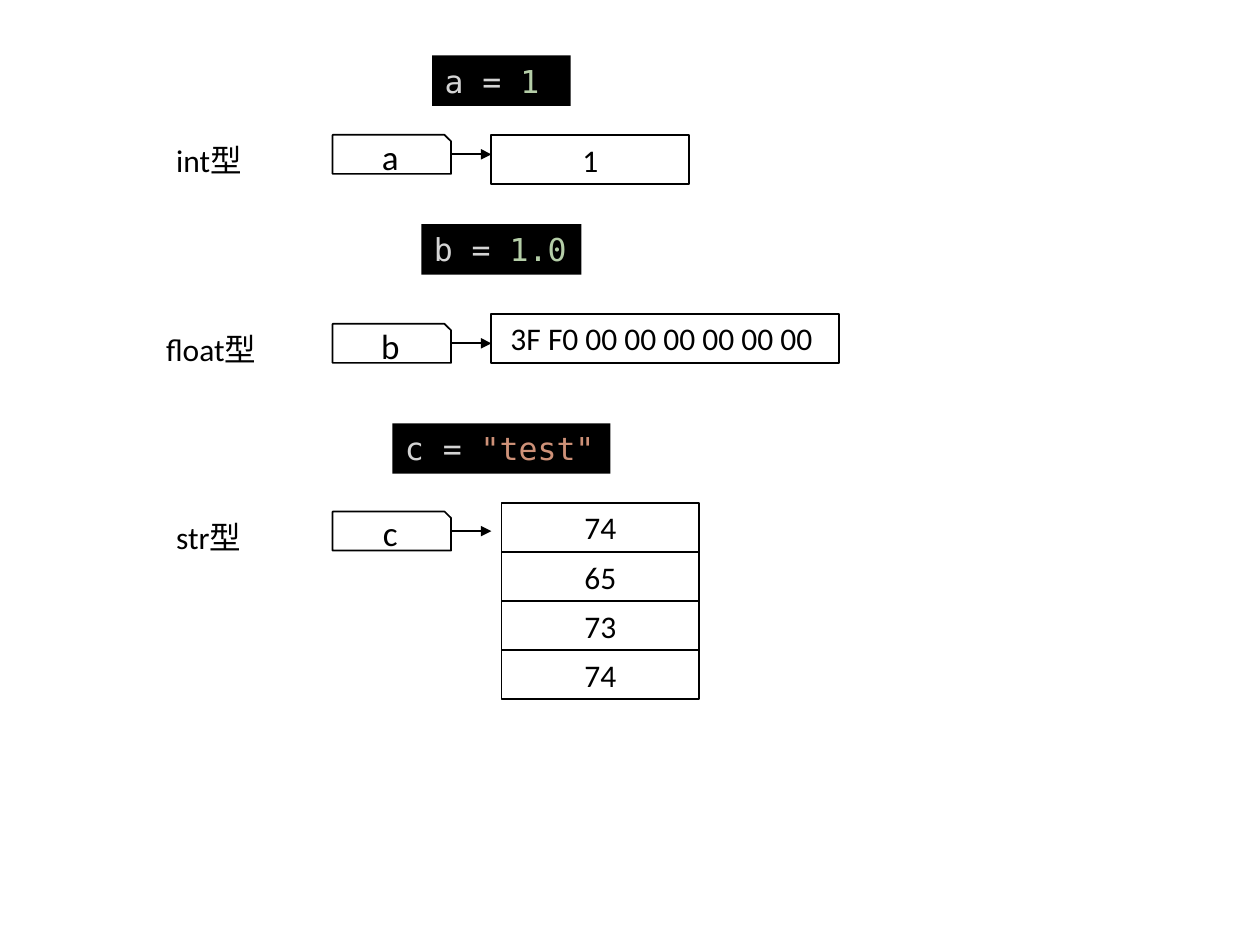
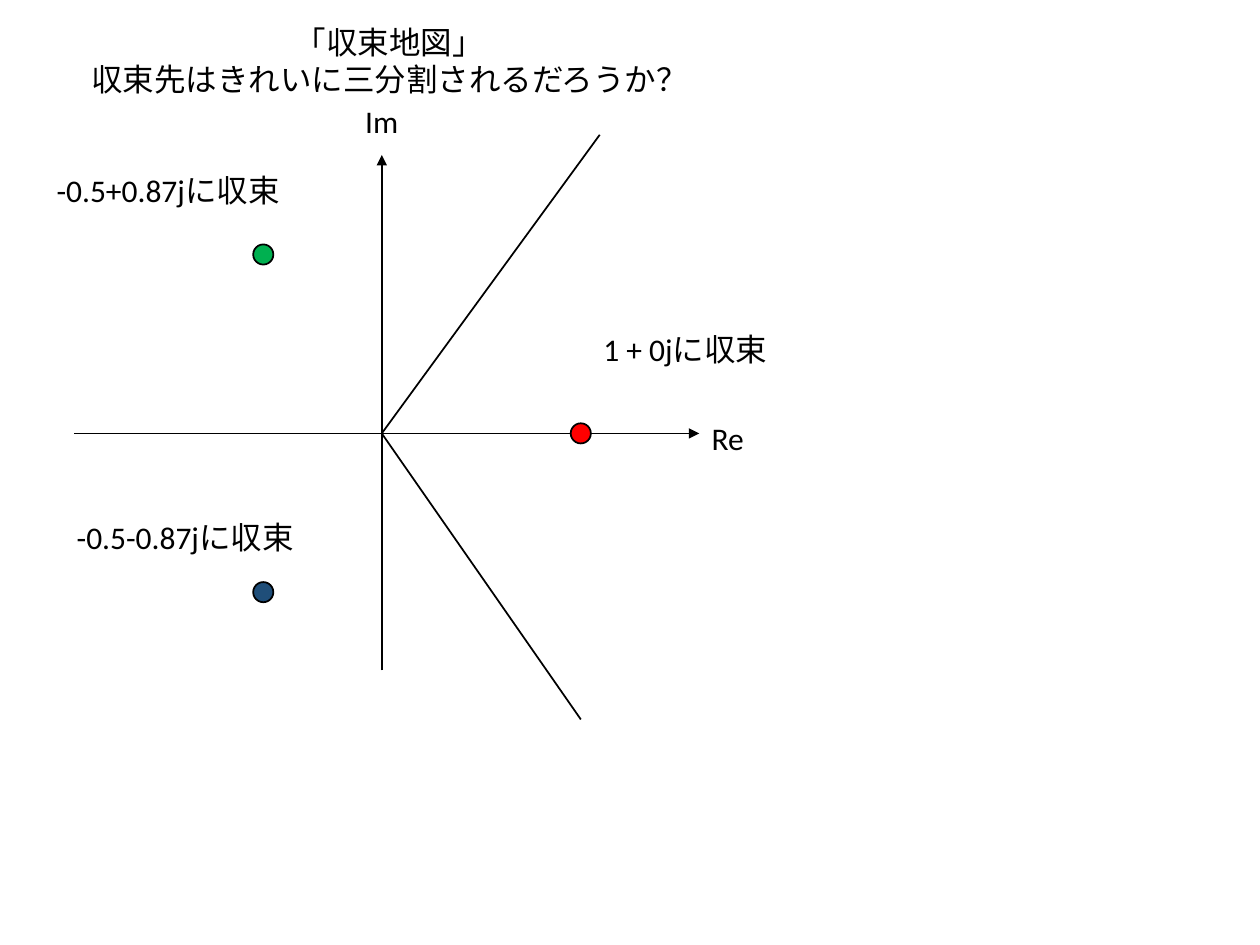
from dataclasses import dataclass

from lxml import etree
from pptx import Presentation
from pptx.dml.color import RGBColor
from pptx.enum.shapes import MSO_CONNECTOR, MSO_SHAPE
from pptx.enum.text import MSO_ANCHOR, MSO_AUTO_SIZE, PP_ALIGN
from pptx.oxml.ns import qn
from pptx.shapes.autoshape import Shape
from pptx.slide import Slide
from pptx.util import Inches, Pt

RECTANGLE = MSO_SHAPE.RECTANGLE
NAME_TAG = MSO_SHAPE.SNIP_1_RECTANGLE
OVAL = MSO_SHAPE.OVAL
STRAIGHT = MSO_CONNECTOR.STRAIGHT
LEFT, CENTER = PP_ALIGN.LEFT, PP_ALIGN.CENTER
TOP, MIDDLE = MSO_ANCHOR.TOP, MSO_ANCHOR.MIDDLE
GROW, FIXED = MSO_AUTO_SIZE.SHAPE_TO_FIT_TEXT, MSO_AUTO_SIZE.NONE

BLACK = RGBColor(0x00, 0x00, 0x00)
CODE_TEXT = RGBColor(0xD4, 0xD4, 0xD4)
CODE_NUMBER = RGBColor(0xB5, 0xCE, 0xA8)
CODE_STRING = RGBColor(0xCE, 0x91, 0x78)
RED = RGBColor(0xFF, 0x00, 0x00)
GREEN = RGBColor(0x00, 0xB0, 0x50)
BLUE = RGBColor(0x1F, 0x4E, 0x79)

BODY_FONT = "Calibri"
CODE_FONT = "DejaVu Sans Mono"
LINE_WIDTH = Pt(1)
LABEL_HEIGHT = 0.4

CODE_CENTER = 3.98
TAG_LEFT, TAG_WIDTH, TAG_HEIGHT = 2.64, 0.94, 0.31
ARROW_END = 3.9
CELL_HEIGHT = 0.39

ORIGIN = (3.03, 3.44)
DOT_SIZE = 0.16

Point = tuple[float, float]
Box = tuple[float, float, float, float]
Run = tuple[str, RGBColor]


@dataclass(frozen=True)
class Variable:
    name: str
    literal: str
    literal_color: RGBColor
    code_top: float
    code_width: float
    tag_top: float
    type_label: str
    label_left: float
    label_width: float
    cells: tuple[str, ...]
    cells_at: Point
    cell_width: float


@dataclass(frozen=True)
class Root:
    text: str
    label_at: Point
    label_width: float
    center: Point
    color: RGBColor


VARIABLES = (
    Variable("a", "1", CODE_NUMBER, 0.44, 1.1, 1.07, "int型", 1.3, 0.73,
             ("1",), (3.9, 1.07), 1.57),
    Variable("b", "1.0", CODE_NUMBER, 1.78, 1.27, 2.57, "float型", 1.22, 0.93,
             ("3F F0 00 00 00 00 00 00 ",), (3.9, 2.49), 2.76),
    Variable("c", '"test"', CODE_STRING, 3.36, 1.73, 4.06, "str型", 1.3, 0.72,
             ("74", "65", "73", "74"), (3.98, 3.99), 1.57),
)

ROOTS = (
    Root("1 + 0jに収束", (4.69, 2.57), 1.52, (4.61, 3.44), RED),
    Root("-0.5+0.87jに収束", (0.35, 1.31), 1.99, (2.09, 2.02), GREEN),
    Root("-0.5-0.87jに収束", (0.51, 4.06), 1.99, (2.09, 4.7), BLUE),
)


def write_text(shape: Shape, paragraphs: list[list[Run]], *, size: int = 18,
               font: str = BODY_FONT, align: PP_ALIGN = LEFT,
               anchor: MSO_ANCHOR = TOP, fit: MSO_AUTO_SIZE = GROW) -> None:
    frame = shape.text_frame
    frame.word_wrap = True
    frame.auto_size = fit
    frame.vertical_anchor = anchor
    for index, runs in enumerate(paragraphs):
        paragraph = frame.add_paragraph() if index else frame.paragraphs[0]
        paragraph.alignment = align
        for text, color in runs:
            run = paragraph.add_run()
            run.text = text
            run.font.size = Pt(size)
            run.font.name = font
            run.font.color.rgb = color


def add_label(slide: Slide, box: Box, *lines: str, align: PP_ALIGN = LEFT) -> None:
    label = slide.shapes.add_textbox(*map(Inches, box))
    write_text(label, [[(line, BLACK)] for line in lines], align=align)


def add_figure(slide: Slide, kind: MSO_SHAPE, box: Box, *,
               fill: RGBColor | None = None, outlined: bool = True) -> Shape:
    shape = slide.shapes.add_shape(kind, *map(Inches, box))
    shape.shadow.inherit = False
    if fill is None:
        shape.fill.background()
    else:
        shape.fill.solid()
        shape.fill.fore_color.rgb = fill
    if outlined:
        shape.line.color.rgb = BLACK
        shape.line.width = LINE_WIDTH
    else:
        shape.line.fill.background()
    return shape


def add_outlined_text(slide: Slide, kind: MSO_SHAPE, box: Box, text: str,
                      size: int = 18) -> None:
    shape = add_figure(slide, kind, box)
    write_text(shape, [[(text, BLACK)]], size=size, align=CENTER,
               anchor=MIDDLE, fit=FIXED)


def add_line(slide: Slide, start: Point, end: Point, *, arrow: bool = False) -> None:
    connector = slide.shapes.add_connector(STRAIGHT, *map(Inches, start + end))
    connector.line.color.rgb = BLACK
    connector.line.width = LINE_WIDTH
    properties = connector._element.spPr
    if arrow:
        etree.SubElement(properties.find(qn("a:ln")), qn("a:tailEnd"), type="triangle")
    etree.SubElement(properties, qn("a:effectLst"))


def draw_variable(slide: Slide, variable: Variable) -> None:
    code_left = CODE_CENTER - variable.code_width / 2
    code = add_figure(slide, RECTANGLE,
                      (code_left, variable.code_top, variable.code_width, LABEL_HEIGHT),
                      fill=BLACK, outlined=False)
    write_text(code, [[(f"{variable.name} = ", CODE_TEXT),
                       (variable.literal, variable.literal_color)]], font=CODE_FONT)

    add_label(slide, (variable.label_left, variable.tag_top,
                      variable.label_width, LABEL_HEIGHT), variable.type_label)
    add_outlined_text(slide, NAME_TAG,
                      (TAG_LEFT, variable.tag_top, TAG_WIDTH, TAG_HEIGHT),
                      variable.name, size=20)
    arrow_y = variable.tag_top + TAG_HEIGHT / 2
    add_line(slide, (TAG_LEFT + TAG_WIDTH, arrow_y), (ARROW_END, arrow_y), arrow=True)

    left, top = variable.cells_at
    for index, value in enumerate(variable.cells):
        add_outlined_text(slide, RECTANGLE,
                          (left, top + index * CELL_HEIGHT,
                           variable.cell_width, CELL_HEIGHT), value)


def draw_root(slide: Slide, root: Root) -> None:
    x, y = root.center
    add_figure(slide, OVAL, (x - DOT_SIZE / 2, y - DOT_SIZE / 2, DOT_SIZE, DOT_SIZE),
               fill=root.color)
    add_label(slide, (*root.label_at, root.label_width, LABEL_HEIGHT), root.text)


def build_variable_slide(slide: Slide) -> None:
    for variable in VARIABLES:
        draw_variable(slide, variable)


def build_convergence_slide(slide: Slide) -> None:
    origin_x, origin_y = ORIGIN
    add_line(slide, (0.59, origin_y), (5.55, origin_y), arrow=True)
    add_line(slide, (origin_x, 5.32), (origin_x, 1.23), arrow=True)
    add_label(slide, (5.55, 3.28, 0.46, LABEL_HEIGHT), "Re")
    add_label(slide, (2.8, 0.76, 0.47, LABEL_HEIGHT), "Im")
    for boundary_end in ((4.76, 1.07), (4.61, 5.71)):
        add_line(slide, ORIGIN, boundary_end)
    for root in ROOTS:
        draw_root(slide, root)
    add_label(slide, (0.59, 0.13, 5, 0.71), "「収束地図」",
              "収束先はきれいに三分割されるだろうか？", align=CENTER)


def main() -> None:
    presentation = Presentation()
    presentation.slide_width = Inches(10)
    presentation.slide_height = Inches(7.5)
    blank_layout = presentation.slide_layouts[6]
    for build in (build_variable_slide, build_convergence_slide):
        build(presentation.slides.add_slide(blank_layout))
    presentation.save("out.pptx")


main()
